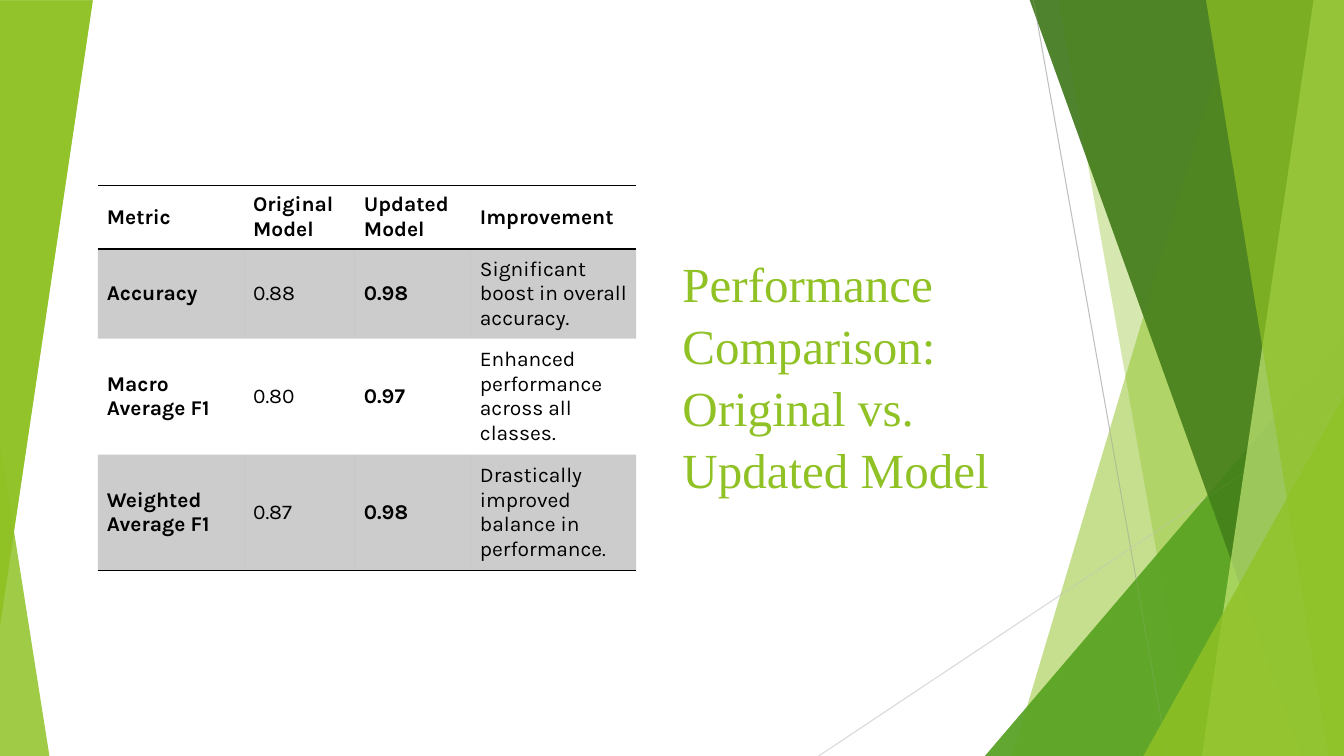
from lxml import etree
from pptx import Presentation
from pptx.dml.color import RGBColor
from pptx.enum.shapes import MSO_CONNECTOR, MSO_SHAPE
from pptx.enum.text import MSO_ANCHOR
from pptx.oxml.ns import qn
from pptx.util import Inches, Pt

TRIANGLE = MSO_SHAPE.ISOSCELES_TRIANGLE
STRAIGHT = MSO_CONNECTOR.STRAIGHT
MIDDLE = MSO_ANCHOR.MIDDLE
BOTTOM = MSO_ANCHOR.BOTTOM

WIDTH, HEIGHT = 13.33, 7.5
BAND_TOP = -0.01
COLORS = {
    "lime": "90C226",
    "green": "54A021",
    "dark": "3F7819",
    "pale": "C0E474",
    "gray": "BFBFBF",
    "light_gray": "D9D9D9",
    "black": "000000",
}
NO_GRID_STYLE = "{2D5ABB26-0587-4C30-8999-92F81FD0307C}"

TITLE = "Performance Comparison: Original vs. Updated Model"
COLUMN_WIDTHS = [1.45, 1.1, 1.15, 1.64]
ROW_HEIGHTS = [0.63, 0.89, 1.15, 1.15]
METRICS = [
    ["Metric", "Original Model", "Updated Model", "Improvement"],
    ["Accuracy", "0.88", "0.98", "Significant boost in overall accuracy."],
    ["Macro Average F1", "0.80", "0.97", "Enhanced performance across all classes."],
    ["Weighted Average F1", "0.87", "0.98", "Drastically improved balance in performance."],
]


def write_text(frame, text, font, size, color, bold=False, line_spacing=None):
    frame.word_wrap = True
    paragraph = frame.paragraphs[0]
    paragraph.line_spacing = line_spacing
    run = paragraph.add_run()
    run.text = text
    run.font.name = font
    run.font.size = Pt(size)
    run.font.bold = bold
    run.font.color.rgb = RGBColor.from_string(COLORS[color])


def fill_solid(fill, color, opacity):
    """Fill with a colour at an opacity in percent."""
    fill.solid()
    fill.fore_color.rgb = RGBColor.from_string(COLORS[color])
    for color_node in fill._xPr.iter(qn("a:srgbClr")):
        etree.SubElement(color_node, qn("a:alpha"), val=str(opacity * 1000))


def add_border(cell, side, color):
    """Draw a one-point border on the side "T" or "B" of a cell."""
    line = etree.Element(qn(f"a:ln{side}"), w=str(Pt(1)))
    solid = etree.SubElement(line, qn("a:solidFill"))
    etree.SubElement(solid, qn("a:srgbClr"), val=COLORS[color])
    cell._tc.get_or_add_tcPr().insert(0, line)


class FacetSlide:
    def __init__(self, presentation):
        self.slide = presentation.slides.add_slide(presentation.slide_layouts[6])
        self.shapes = self.slide.shapes

    def paint(self, shape, color, opacity):
        shape.shadow.inherit = False
        shape.line.fill.background()
        fill_solid(shape.fill, color, opacity)

    def band(self, top_x, bottom_x, color, opacity):
        """Add a full-height band from a slanted left edge to the slide's right edge."""
        builder = self.shapes.build_freeform(Inches(top_x), Inches(BAND_TOP), scale=1.0)
        corners = [(WIDTH, BAND_TOP), (WIDTH, HEIGHT), (bottom_x, HEIGHT)]
        builder.add_line_segments([(Inches(x), Inches(y)) for x, y in corners], close=True)
        self.paint(builder.convert_to_shape(), color, opacity)

    def triangle(self, left, top, width, height, color, opacity, apex=1, rotation=0):
        shape = self.shapes.add_shape(
            TRIANGLE, Inches(left), Inches(top), Inches(width), Inches(height))
        shape.adjustments[0] = apex
        shape.rotation = rotation
        self.paint(shape, color, opacity)

    def facets(self):
        """Add the overlapping green bands and triangles on the right."""
        self.band(12.28, 10.04, "lime", 30)
        self.band(10.5, 11.83, "lime", 20)
        self.triangle(9.77, 3.33, 3.56, 4.17, "green", 72)
        self.band(10.21, 12.91, "dark", 70)
        self.band(13.03, 11.92, "pale", 70)
        self.band(11.96, 13.18, "lime", 65)
        self.triangle(11.34, 3.93, 1.99, 3.57, "lime", 80)

    def line(self, start, end, color):
        connector = self.shapes.add_connector(
            STRAIGHT, *[Inches(value) for value in (*start, *end)])
        connector.line.width = Pt(0.75)
        connector.line.color.rgb = RGBColor.from_string(COLORS[color])
        etree.SubElement(connector._element.spPr, qn("a:effectLst"))

    def title(self, text, left, top, width, height):
        box = self.shapes.add_textbox(
            Inches(left), Inches(top), Inches(width), Inches(height))
        box.text_frame.vertical_anchor = BOTTOM
        write_text(box.text_frame, text, "Times New Roman", 35, "lime", line_spacing=1.05)

    def table(self, rows, left, top):
        frame = self.shapes.add_table(
            len(rows), len(rows[0]), Inches(left), Inches(top),
            Inches(sum(COLUMN_WIDTHS)), Inches(sum(ROW_HEIGHTS)))
        table = frame.table
        table._tbl.tblPr.find(qn("a:tableStyleId")).text = NO_GRID_STYLE
        for column, width in zip(table.columns, COLUMN_WIDTHS):
            column.width = Inches(width)
        for row, height in zip(table.rows, ROW_HEIGHTS):
            row.height = Inches(height)
        for row_index, row in enumerate(rows):
            for column_index, text in enumerate(row):
                self.cell(table.cell(row_index, column_index), text, row_index,
                          column_index, row_index == len(rows) - 1)

    def cell(self, cell, text, row_index, column_index, is_last):
        is_header = row_index == 0
        cell.vertical_anchor = MIDDLE
        cell.margin_left = cell.margin_right = Inches(0.09)
        cell.margin_top = cell.margin_bottom = Inches(0.04)
        write_text(cell.text_frame, text, "Karla", 15, "black",
                   bold=is_header or column_index in (0, 2))
        if row_index % 2:
            fill_solid(cell.fill, "black", 20)
        else:
            cell.fill.background()
        if is_header or is_last:
            add_border(cell, "B", "black")
        if is_header:
            add_border(cell, "T", "black")


def main():
    presentation = Presentation()
    presentation.slide_width = Inches(WIDTH)
    presentation.slide_height = Inches(HEIGHT)
    slide = FacetSlide(presentation)
    slide.facets()
    slide.triangle(0, 4.39, 0.49, 3.11, "lime", 85, apex=0)
    slide.line((10.25, 0), (11.58, HEIGHT), "gray")
    slide.line((WIDTH, 4.03), (8.12, HEIGHT), "light_gray")
    slide.facets()
    for top in (0, 0.01):
        slide.triangle(0, top, 0.92, 6.2, "lime", 85, rotation=180)
    slide.title(TITLE, 6.67, 1.38, 4.11, 3.61)
    slide.table(METRICS, 0.97, 1.84)
    presentation.save("out.pptx")


if __name__ == "__main__":
    main()
